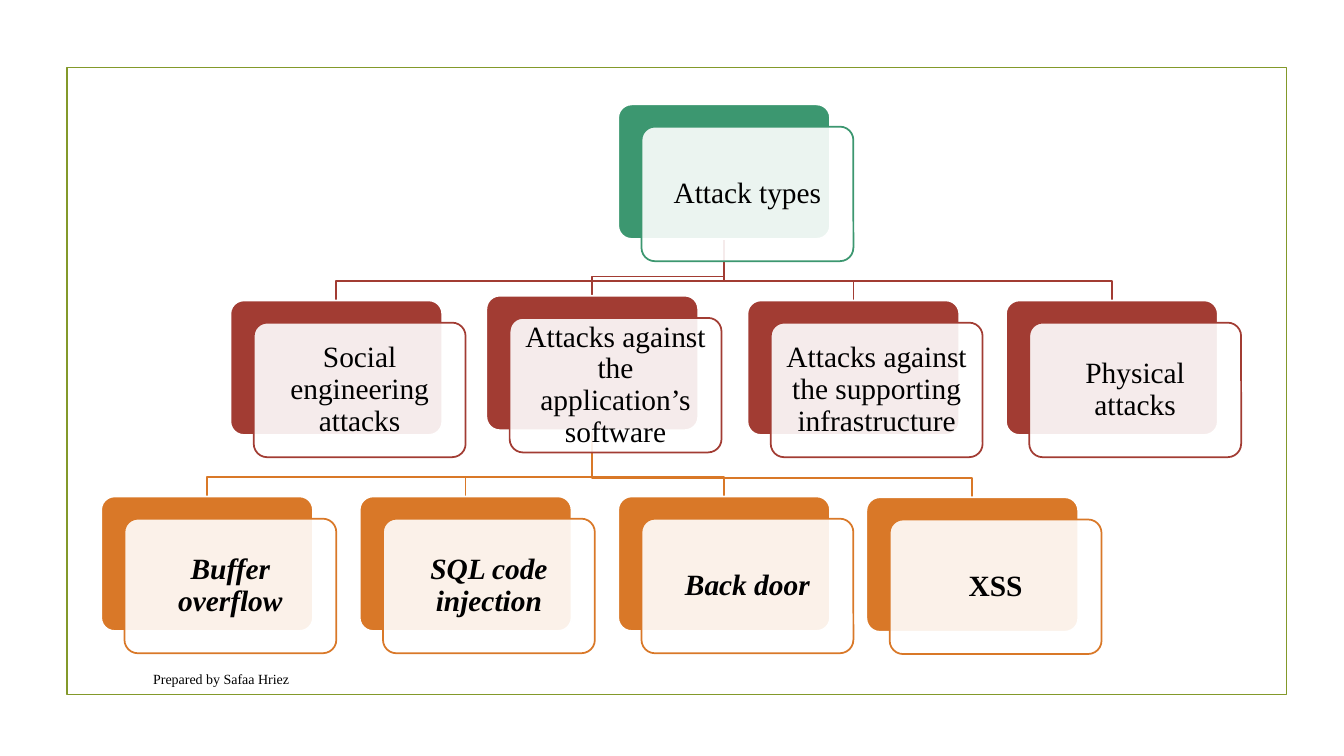
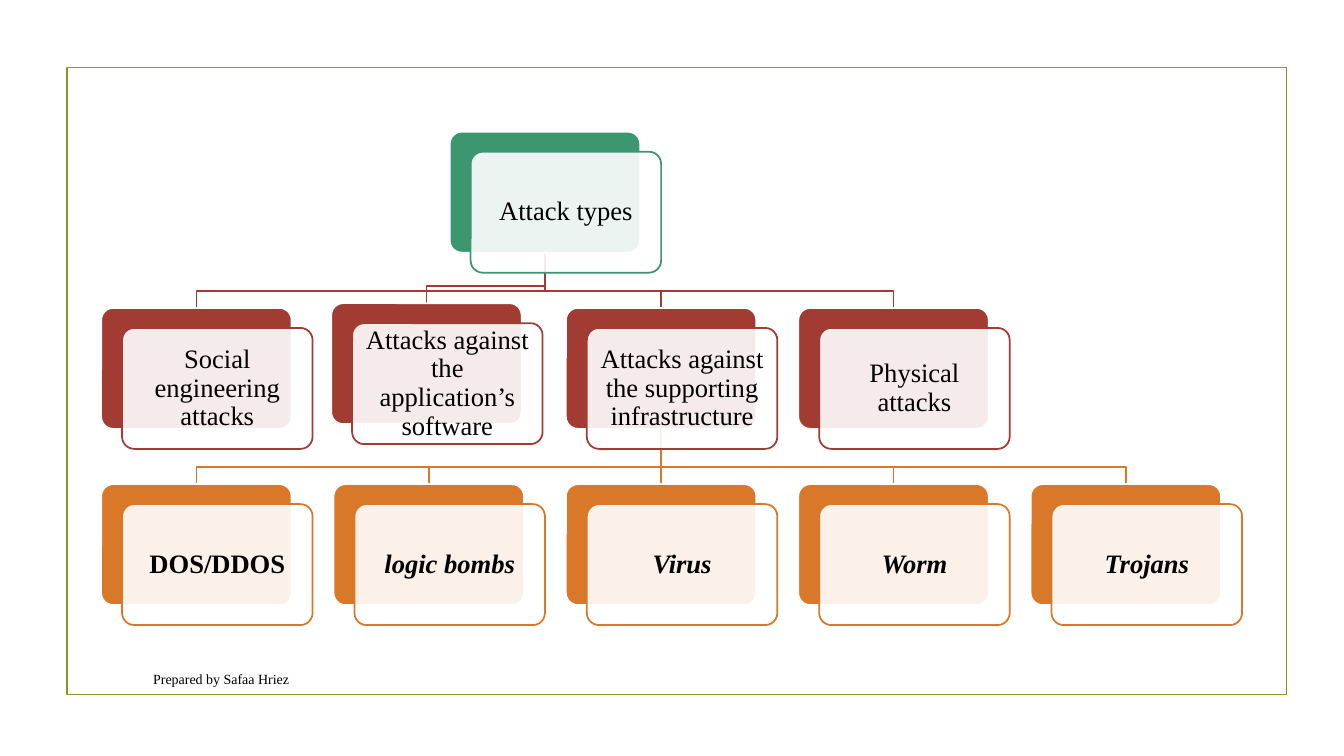
from dataclasses import dataclass

from lxml import etree
from pptx import Presentation
from pptx.dml.color import RGBColor
from pptx.enum.shapes import MSO_CONNECTOR, MSO_SHAPE
from pptx.enum.text import MSO_ANCHOR, PP_ALIGN
from pptx.oxml.ns import qn
from pptx.util import Cm, Pt

RECT = MSO_SHAPE.RECTANGLE
ROUND = MSO_SHAPE.ROUNDED_RECTANGLE
STRAIGHT = MSO_CONNECTOR.STRAIGHT
MIDDLE = MSO_ANCHOR.MIDDLE
CENTER = PP_ALIGN.CENTER

FONT = "Times New Roman"
BLACK = "000000"
WHITE = "FFFFFF"
FRAME = "83992A"
LEVELS = ("3C9770", "A23C33", "D97828")
LINE_WIDTH = Pt(1.25)


@dataclass(frozen=True)
class Node:
    text: str
    col: float
    dy: float = 0
    bold: bool = False
    italic: bool = False
    children: tuple["Node", ...] = ()


@dataclass(frozen=True)
class Tree:
    root: Node
    top: float
    card: float
    size: int
    left: float = 2.55

    @property
    def height(self) -> float:
        return self.card * 0.635

    def corner(self, node: Node, level: int) -> tuple[float, float]:
        x = self.left + node.col * self.card * 1.22
        y = self.top + level * self.card * 0.925 + node.dy
        return x, y


def rgb(value: str) -> RGBColor:
    return RGBColor.from_string(value)


def set_line(sp, color: str) -> None:
    sp.line.color.rgb = rgb(color)
    sp.line.width = LINE_WIDTH


def set_font(p, size: int, bold: bool = False, italic: bool = False) -> None:
    p.font.name = FONT
    p.font.size = Pt(size)
    p.font.bold = bold
    p.font.italic = italic
    p.font.color.rgb = rgb(BLACK)


def add_card(s, x: float, y: float, tree: Tree, fill: str, line: str):
    sp = s.shapes.add_shape(ROUND, Cm(x), Cm(y), Cm(tree.card), Cm(tree.height))
    sp.shadow.inherit = False
    sp.adjustments[0] = 0.1
    sp.fill.solid()
    sp.fill.fore_color.rgb = rgb(fill)
    set_line(sp, line)
    return sp


def add_node(s, tree: Tree, node: Node, level: int) -> None:
    x, y = tree.corner(node, level)
    color = LEVELS[level]
    add_card(s, x, y, tree, color, WHITE)
    sp = add_card(s, x + tree.card * 0.11, y + tree.card * 0.105, tree, WHITE, color)
    clr = sp.fill._xPr.find(qn("a:solidFill"))[0]
    etree.SubElement(clr, qn("a:alpha"), val="90000")
    tf = sp.text_frame
    tf.word_wrap = True
    tf.vertical_anchor = MIDDLE
    inset = Cm(tree.card * 0.043)
    tf.margin_left = tf.margin_right = tf.margin_top = tf.margin_bottom = inset
    p = tf.paragraphs[0]
    p.text = node.text
    p.alignment = CENTER
    p.line_spacing = 0.9
    set_font(p, tree.size, node.bold, node.italic)
    for child in node.children:
        add_node(s, tree, child, level + 1)


def add_link(s, tree: Tree, parent: Node, child: Node, level: int) -> None:
    x1, y1 = tree.corner(parent, level)
    x2, y2 = tree.corner(child, level + 1)
    start = Cm(x1 + tree.card / 2), Cm(y1 + tree.height)
    end = Cm(x2 + tree.card / 2), Cm(y2)
    bend = Cm(y2 - tree.card * 0.09)
    if start[0] == end[0]:
        sp = s.shapes.add_connector(STRAIGHT, *start, *end)
        etree.SubElement(sp._element.spPr, qn("a:effectLst"))
    else:
        builder = s.shapes.build_freeform(*start)
        builder.add_line_segments([(start[0], bend), (end[0], bend), end], close=False)
        sp = builder.convert_to_shape()
        sp.shadow.inherit = False
        sp.fill.background()
    set_line(sp, LEVELS[level + 1])


def add_links(s, tree: Tree, parent: Node, level: int) -> None:
    for child in parent.children:
        add_links(s, tree, child, level + 1)
        add_link(s, tree, parent, child, level)


def add_frame(s) -> None:
    sp = s.shapes.add_shape(RECT, Cm(1.69), Cm(1.7), Cm(30.73), Cm(15.8))
    sp.shadow.inherit = False
    sp.fill.background()
    set_line(sp, FRAME)


def add_footer(s) -> None:
    tf = s.shapes.add_textbox(Cm(3.61), Cm(16.7), Cm(20.3), Cm(0.8)).text_frame
    tf.word_wrap = True
    tf.vertical_anchor = MIDDLE
    p = tf.paragraphs[0]
    p.text = "Prepared by Safaa Hriez"
    set_font(p, 10)


def attack_types(
    col: float,
    first: float,
    software: tuple[Node, ...] = (),
    infrastructure: tuple[Node, ...] = (),
) -> Node:
    return Node("Attack types", col, children=(
        Node("Social engineering attacks", first),
        Node("Attacks against the application’s software", first + 0.99, -0.12,
             children=software),
        Node("Attacks against the supporting infrastructure", first + 2,
             children=infrastructure),
        Node("Physical attacks", first + 3),
    ))


SOFTWARE = (
    Node("Buffer overflow", 0, bold=True, italic=True),
    Node("SQL code injection", 1, bold=True, italic=True),
    Node("Back door", 2, bold=True, italic=True),
    Node("XSS", 2.96, 0.02, bold=True),
)
INFRASTRUCTURE = (
    Node("DOS/DDOS", 0, bold=True),
    Node("logic bombs", 1, bold=True, italic=True),
    Node("Virus", 2, bold=True, italic=True),
    Node("Worm", 3, bold=True, italic=True),
    Node("Trojans", 4, bold=True, italic=True),
)
TREES = (
    Tree(attack_types(2, 0.5, software=SOFTWARE), top=2.63, card=5.34, size=21),
    Tree(attack_types(1.5, 0, infrastructure=INFRASTRUCTURE), top=3.32, card=4.8, size=19),
)


def main() -> None:
    prs = Presentation()
    prs.slide_width = Cm(33.87)
    prs.slide_height = Cm(19.05)
    for tree in TREES:
        s = prs.slides.add_slide(prs.slide_layouts[6])
        add_frame(s)
        add_links(s, tree, tree.root, 0)
        add_node(s, tree, tree.root, 0)
        add_footer(s)
    prs.save("out.pptx")


if __name__ == "__main__":
    main()
